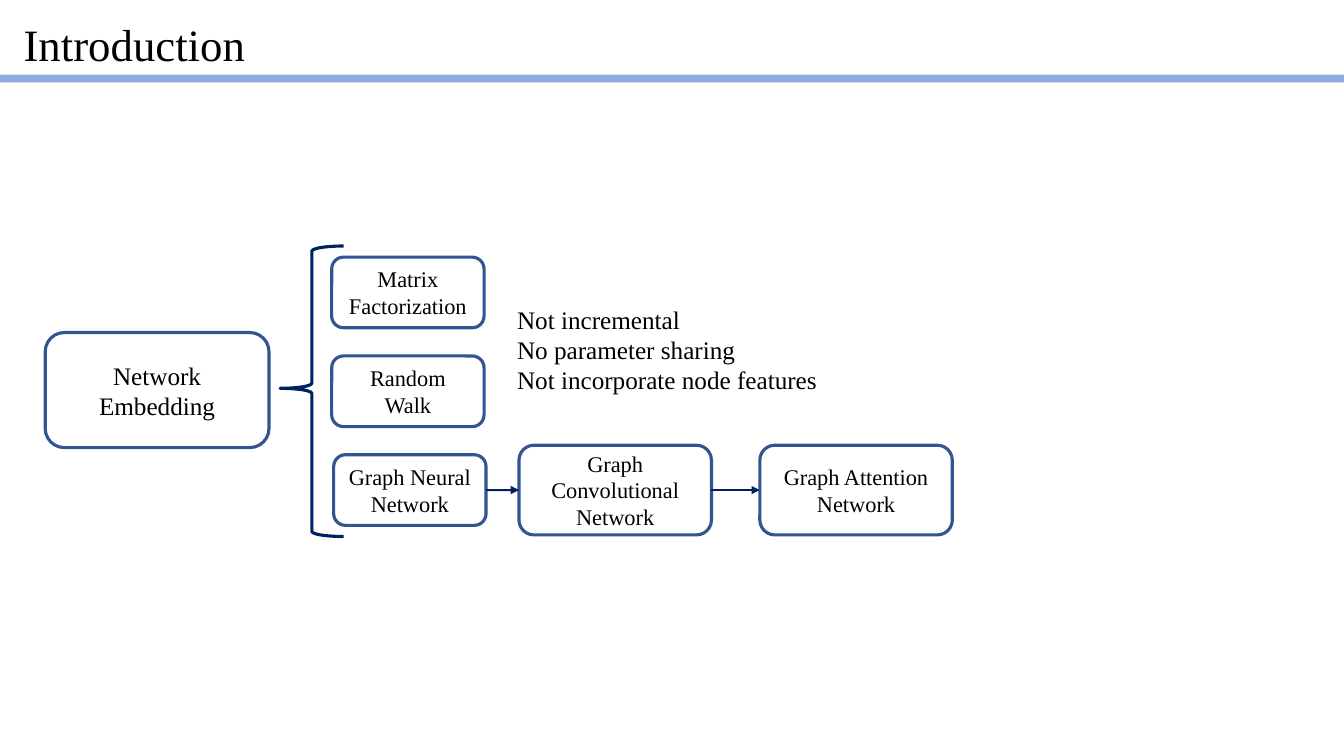
"""Build the Introduction slide: a tree of network embedding methods."""
from lxml import etree
from pptx import Presentation
from pptx.dml.color import RGBColor
from pptx.enum.shapes import MSO_CONNECTOR, MSO_SHAPE
from pptx.enum.text import MSO_ANCHOR, MSO_AUTO_SIZE, PP_ALIGN
from pptx.oxml.ns import qn
from pptx.util import Cm, Pt

RECTANGLE, ROUNDED = MSO_SHAPE.RECTANGLE, MSO_SHAPE.ROUNDED_RECTANGLE
LEFT_BRACE, STRAIGHT = MSO_SHAPE.LEFT_BRACE, MSO_CONNECTOR.STRAIGHT
LEFT, CENTER, JUSTIFY = PP_ALIGN.LEFT, PP_ALIGN.CENTER, PP_ALIGN.JUSTIFY
MIDDLE, TOP = MSO_ANCHOR.MIDDLE, MSO_ANCHOR.TOP
NO_FIT, GROW = MSO_AUTO_SIZE.NONE, MSO_AUTO_SIZE.SHAPE_TO_FIT_TEXT
RIGHT_SIDE, LEFT_SIDE = 3, 1

FONT = "Times New Roman"
BLACK, BAR_BLUE, BOX_BLUE, NAVY = "000000", "8FAADC", "325491", "002060"

TITLE = "Introduction"
ROOT = "Network Embedding"
METHODS = [
    ("Matrix\vFactorization", 8.36),
    ("Random\vWalk", 8.36),
    ("Graph Neural Network", 8.41),
]
SUCCESSORS = [
    ("Graph Convolutional Network", 13.08),
    ("Graph Attention Network", 19.15),
]
DRAWBACKS = [
    "Not incremental",
    "No parameter sharing",
    "Not incorporate node features",
]

SLIDE_WIDTH, SLIDE_HEIGHT = 33.87, 19.05
METHOD_TOP, METHOD_STEP = 6.48, 2.49
METHOD_WIDTH, METHOD_HEIGHT = 3.84, 1.78
SUCCESSOR_WIDTH, SUCCESSOR_HEIGHT = 4.85, 2.26


def color(value):
    return RGBColor.from_string(value)


def write(text, frame, size, align=LEFT, anchor=TOP, spacing=None):
    frame.text = text
    frame.vertical_anchor = anchor
    for paragraph in frame.paragraphs:
        paragraph.alignment = align
        paragraph.line_spacing = spacing
        for run in paragraph.runs:
            run.font.name = FONT
            run.font.size = Pt(size)
            run.font.color.rgb = color(BLACK)


def add_shape(slide, kind, left, top, width, height, fill=None, line=None):
    shape = slide.shapes.add_shape(kind, Cm(left), Cm(top), Cm(width), Cm(height))
    shape.shadow.inherit = False
    if fill:
        shape.fill.solid()
        shape.fill.fore_color.rgb = color(fill)
    else:
        shape.fill.background()
    if line:
        shape.line.color.rgb = color(line)
        shape.line.width = Pt(2.25)
    else:
        shape.line.fill.background()
    return shape


def add_box(slide, text, left, top, width, height, size=16):
    box = add_shape(slide, ROUNDED, left, top, width, height, line=BOX_BLUE)
    write(text, box.text_frame, size, align=CENTER, anchor=MIDDLE)
    return box


def add_arrow(slide, source, target):
    arrow = slide.shapes.add_connector(STRAIGHT, 0, 0, 0, 0)
    arrow.begin_connect(source, RIGHT_SIDE)
    arrow.end_connect(target, LEFT_SIDE)
    arrow.line.color.rgb = color(NAVY)
    arrow.line.width = Pt(1.5)
    etree.SubElement(arrow.line._get_or_add_ln(), qn("a:tailEnd"), type="triangle")
    etree.SubElement(arrow._element.spPr, qn("a:effectLst"))


def add_title(slide):
    title = slide.shapes.title
    title.left, title.top = Cm(-0.93), Cm(0.18)
    title.width, title.height = Cm(32.4), Cm(1.68)
    write(TITLE, title.text_frame, 32, align=JUSTIFY, anchor=MIDDLE, spacing=1.1)
    title.text_frame.auto_size = NO_FIT
    properties = title.text_frame.paragraphs[0]._p.get_or_add_pPr()
    properties.set("marL", str(Cm(1.27)))
    properties.set("indent", "0")


def add_drawbacks(slide):
    textbox = slide.shapes.add_textbox(Cm(12.78), Cm(7.54), Cm(8.15), Cm(2.57))
    write("\n".join(DRAWBACKS), textbox.text_frame, 18)
    textbox.text_frame.word_wrap = False
    textbox.text_frame.auto_size = GROW


def main():
    presentation = Presentation()
    presentation.slide_width = Cm(SLIDE_WIDTH)
    presentation.slide_height = Cm(SLIDE_HEIGHT)
    slide = presentation.slides.add_slide(presentation.slide_layouts[5])

    add_title(slide)
    add_shape(slide, RECTANGLE, 0, 1.88, SLIDE_WIDTH, 0.2, fill=BAR_BLUE)
    add_box(slide, ROOT, 1.14, 8.38, 5.64, 2.9, size=18)

    for row, (text, left) in enumerate(METHODS):
        top = METHOD_TOP + row * METHOD_STEP
        previous = add_box(slide, text, left, top, METHOD_WIDTH, METHOD_HEIGHT)

    successor_top = top + (METHOD_HEIGHT - SUCCESSOR_HEIGHT) / 2
    for text, left in SUCCESSORS:
        box = add_box(slide, text, left, successor_top, SUCCESSOR_WIDTH, SUCCESSOR_HEIGHT)
        add_arrow(slide, previous, box)
        previous = box

    brace = add_shape(slide, LEFT_BRACE, 7.06, 6.2, 1.6, 7.32, line=NAVY)
    brace.adjustments[0], brace.adjustments[1] = 0.08, 0.49
    add_drawbacks(slide)
    presentation.save("out.pptx")


if __name__ == "__main__":
    main()
